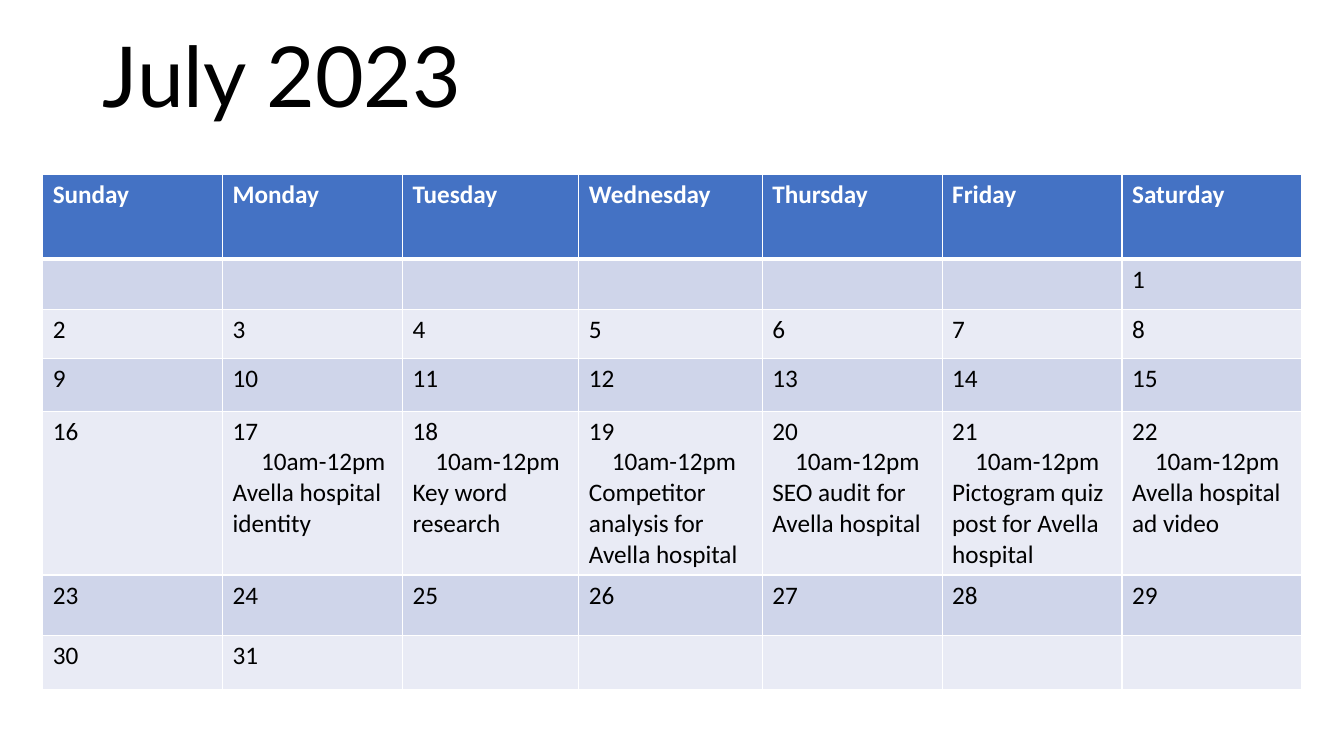
"""Build a July 2023 calendar slide with planned tasks."""
import dataclasses

import lxml.etree
import pptx
import pptx.dml.color
import pptx.enum.text
import pptx.oxml.ns
import pptx.slide
import pptx.table
import pptx.util

Pt = pptx.util.Pt
RGB = pptx.dml.color.RGBColor
qn = pptx.oxml.ns.qn

WHITE = RGB(0xFF, 0xFF, 0xFF)
BLACK = RGB(0, 0, 0)
BLUE = RGB(0x44, 0x72, 0xC4)
BANDS = (RGB(0xE9, 0xEB, 0xF5), RGB(0xCF, 0xD5, 0xEA))

NAMES = ("Sunday", "Monday", "Tuesday", "Wednesday", "Thursday", "Friday", "Saturday")
WIDTHS = (128.5, 128.5, 126, 131, 128.5, 128.5, 128.5)
HEIGHTS = (60.5, 36, 35, 37.5, 117, 43, 38.5)
FIRST = 6
LAST = 31


@dataclasses.dataclass(frozen=True)
class Task:
    text: str
    indent: float = 16.3
    hours: str = "10am-12pm"


TASKS = {
    17: Task("Avella hospital identity", 20.3),
    18: Task("Key word research"),
    19: Task("Competitor analysis for Avella hospital"),
    20: Task("SEO audit for Avella hospital"),
    21: Task("Pictogram quiz post for Avella hospital"),
    22: Task("Avella hospital ad video"),
}


def add_edge(cell: pptx.table._Cell, side: str, width: float) -> None:
    props = cell._tc.get_or_add_tcPr()
    line = lxml.etree.SubElement(props, qn(f"a:ln{side}"), w=str(Pt(width)))
    fill = lxml.etree.SubElement(line, qn("a:solidFill"))
    lxml.etree.SubElement(fill, qn("a:srgbClr"), val=str(WHITE))


def style_cell(cell: pptx.table._Cell, row: int) -> None:
    head = row == 0
    edges = {"L": 1, "R": 1, "T": 3 if row == 1 else 1, "B": 3 if head else 1}
    for side, width in edges.items():
        add_edge(cell, side, width)
    cell.fill.solid()
    cell.fill.fore_color.rgb = BLUE if head else BANDS[row % 2]
    for para in cell.text_frame.paragraphs:
        para.font.name = "Calibri"
        para.font.size = Pt(18)
        para.font.bold = head
        para.font.color.rgb = WHITE if head else BLACK


def fill_day(cell: pptx.table._Cell, day: int) -> None:
    if not 1 <= day <= LAST:
        return
    cell.text = str(day)
    task = TASKS.get(day)
    if task:
        hours = cell.text_frame.add_paragraph()
        hours.text = task.hours
        hours._p.get_or_add_pPr().set("marL", str(Pt(task.indent)))
        cell.text_frame.add_paragraph().text = task.text


def add_title(slide: pptx.slide.Slide) -> None:
    title = slide.shapes.title
    title.left, title.top = Pt(66.25), Pt(0)
    title.width, title.height = Pt(828), Pt(115.2)
    title.text_frame.vertical_anchor = pptx.enum.text.MSO_ANCHOR.MIDDLE
    para = title.text_frame.paragraphs[0]
    para.text = "July 2023"
    para.alignment = pptx.enum.text.PP_ALIGN.LEFT
    para.line_spacing = 0.9
    para.font.name = "Lato"
    para.font.size = Pt(60)
    para.font.color.rgb = BLACK


def add_month(slide: pptx.slide.Slide) -> None:
    frame = slide.shapes.add_table(
        len(HEIGHTS), len(WIDTHS), Pt(30.5), Pt(124.75), Pt(sum(WIDTHS)), Pt(sum(HEIGHTS))
    )
    table = frame.table
    for column, width in zip(table.columns, WIDTHS):
        column.width = Pt(width)
    for row, height in enumerate(HEIGHTS):
        table.rows[row].height = Pt(height)
        for col, name in enumerate(NAMES):
            cell = table.cell(row, col)
            if row == 0:
                cell.text = name
            else:
                fill_day(cell, (row - 1) * len(NAMES) + col - FIRST + 1)
            style_cell(cell, row)


def main() -> None:
    deck = pptx.Presentation()
    deck.slide_width, deck.slide_height = Pt(960), Pt(540)
    slide = deck.slides.add_slide(deck.slide_layouts[5])
    add_title(slide)
    add_month(slide)
    deck.save("out.pptx")


if __name__ == "__main__":
    main()
